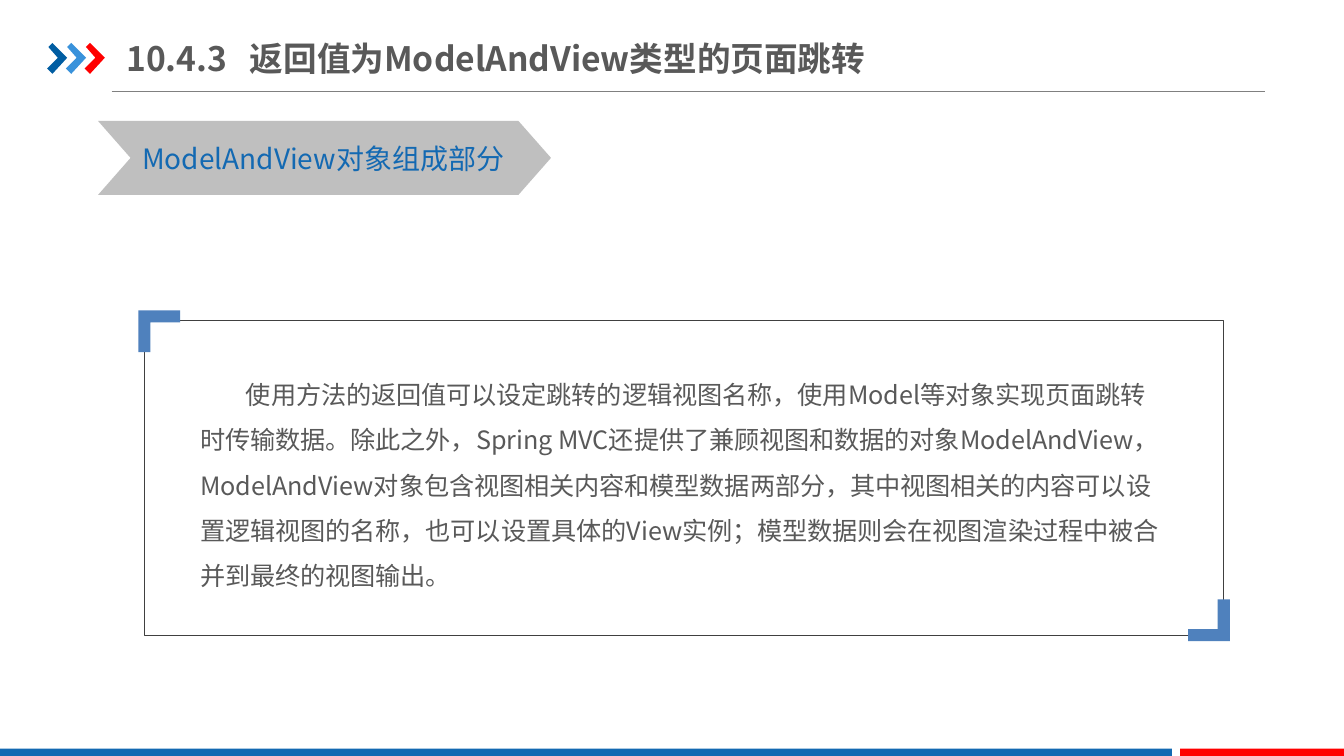
from dataclasses import dataclass

import pptx
import pptx.dml.color
import pptx.enum.shapes
import pptx.enum.text
import pptx.oxml
import pptx.oxml.ns
import pptx.util

Inches = pptx.util.Inches
Pt = pptx.util.Pt
MSO_SHAPE = pptx.enum.shapes.MSO_SHAPE
ANCHOR = pptx.enum.text.MSO_ANCHOR
qn = pptx.oxml.ns.qn

FONT = "Noto Sans CJK SC"
BLUE, RED, GRAY = "1369B2", "FF0000", "595959"
SLIDE_WIDTH = 10
SLIDE_HEIGHT = SLIDE_WIDTH * 9 / 16
ARROW = [(0.01, 0.03), (0.04, 0), (0.15, 0.11), (0.04, 0.23), (0, 0.19), (0.08, 0.11)]
CORNER = [(0, 0), (0.31, 0), (0.31, 0.09), (0.09, 0.09), (0.09, 0.31), (0, 0.31)]


@dataclass
class Box:
    left: float
    top: float
    width: float
    height: float

    def emu(self) -> list[int]:
        return [Inches(v) for v in (self.left, self.top, self.width, self.height)]


@dataclass
class Label:
    text: str
    box: Box
    size: float
    color: str
    bold: bool = False
    wrap: bool = True
    anchor: ANCHOR = ANCHOR.TOP
    inset: tuple[float, float] = (0.1, 0.05)
    spacing: float = 1.0
    indent: float = 0
    tab: float = 0


def rgb(color: str) -> pptx.dml.color.RGBColor:
    return pptx.dml.color.RGBColor.from_string(color)


def paint(sp, color: str) -> None:
    sp.shadow.inherit = False
    sp.fill.solid()
    sp.fill.fore_color.rgb = rgb(color)
    sp.line.fill.background()


def add_filled(s, kind: MSO_SHAPE, box: Box, color: str):
    sp = s.shapes.add_shape(kind, *box.emu())
    paint(sp, color)
    return sp


def add_outline(s, points: list[tuple[float, float]], left: float, top: float, color: str):
    corners = [(Inches(left + x), Inches(top + y)) for x, y in points]
    builder = s.shapes.build_freeform(*corners[0], scale=1.0)
    builder.add_line_segments(corners[1:], close=True)
    sp = builder.convert_to_shape()
    paint(sp, color)
    return sp


def add_label(s, label: Label) -> None:
    tf = s.shapes.add_textbox(*label.box.emu()).text_frame
    tf.word_wrap = label.wrap
    tf.vertical_anchor = label.anchor
    tf.margin_left = tf.margin_right = Inches(label.inset[0])
    tf.margin_top = tf.margin_bottom = Inches(label.inset[1])
    tf.text = label.text
    p = tf.paragraphs[0]
    pPr = p._p.get_or_add_pPr()
    if label.tab:
        ns = pptx.oxml.ns.nsdecls("a")
        pPr.append(pptx.oxml.parse_xml(
            f'<a:tabLst {ns}><a:tab pos="{Inches(label.tab)}" algn="l"/></a:tabLst>'))
    if label.indent:
        pPr.set("marL", "0")
        pPr.set("indent", str(Inches(label.indent)))
    p.line_spacing = label.spacing
    r = p.runs[0]
    r.font.size = Pt(label.size)
    r.font.bold = label.bold
    r.font.color.rgb = rgb(label.color)
    r.font.name = FONT
    ea = r._r.get_or_add_rPr().makeelement(qn("a:ea"), {"typeface": FONT})
    r._r.rPr.find(qn("a:latin")).addnext(ea)


def add_rule(s, left: float, right: float, y: float, color: str) -> None:
    line = s.shapes.add_connector(
        pptx.enum.shapes.MSO_CONNECTOR.STRAIGHT,
        Inches(left), Inches(y), Inches(right), Inches(y))
    line.line.color.rgb = rgb(color)
    line.line.width = Pt(0.75)
    spPr = line._element.spPr
    spPr.append(spPr.makeelement(qn("a:effectLst"), {}))


LABELS = [
    Label("ModelAndView对象组成部分", Box(0.96, 1, 3.01, 0.35), 15, BLUE, wrap=False),
    Label("10.4.3\t返回值为ModelAndView类型的页面跳转", Box(0.94, 0.22, 5.73, 0.42),
          18, GRAY, bold=True, anchor=ANCHOR.MIDDLE, inset=(0, 0.05), tab=0.92),
    Label("使用方法的返回值可以设定跳转的逻辑视图名称，使用Model等对象实现页面跳转时传输数据。"
          "除此之外，Spring MVC还提供了兼顾视图和数据的对象ModelAndView，"
          "ModelAndView对象包含视图相关内容和模型数据两部分，"
          "其中视图相关的内容可以设置逻辑视图的名称，也可以设置具体的View实例；"
          "模型数据则会在视图渲染过程中被合并到最终的视图输出。",
          Box(1.42, 2.67, 7.28, 1.76), 13.5, GRAY,
          inset=(0.07, 0.04), spacing=1.5, indent=0.34),
]


def main() -> None:
    prs = pptx.Presentation()
    prs.slide_width, prs.slide_height = Inches(SLIDE_WIDTH), Inches(SLIDE_HEIGHT)
    s = prs.slides.add_slide(prs.slide_layouts[6])

    add_rule(s, 0.83, 9.41, 0.68, "808080")
    for i, color in enumerate(("005DA2", "3992DB", RED)):
        add_outline(s, ARROW, 0.35 + 0.14 * i, 0.32, color)
    add_filled(s, MSO_SHAPE.RECTANGLE, Box(0, 5.57, 8.72, 0.07), BLUE)
    add_filled(s, MSO_SHAPE.RECTANGLE, Box(8.78, 5.57, 1.22, 0.07), RED)

    banner = add_filled(s, MSO_SHAPE.CHEVRON, Box(0.73, 0.9, 3.37, 0.55), "BFBFBF")
    banner.adjustments[0] = 0.44
    for label in LABELS:
        add_label(s, label)

    frame = s.shapes.add_shape(
        MSO_SHAPE.ROUNDED_RECTANGLE, *Box(1.07, 2.38, 8.03, 2.35).emu())
    frame.adjustments[0] = 0
    frame.shadow.inherit = False
    frame.fill.background()
    frame.line.color.rgb = rgb("404040")
    frame.line.width = Pt(0.25)
    add_outline(s, CORNER, 1.03, 2.31, "4F81BD")
    add_outline(s, CORNER, 8.84, 4.46, "4F81BD").rotation = 180

    prs.save("out.pptx")


if __name__ == "__main__":
    main()
